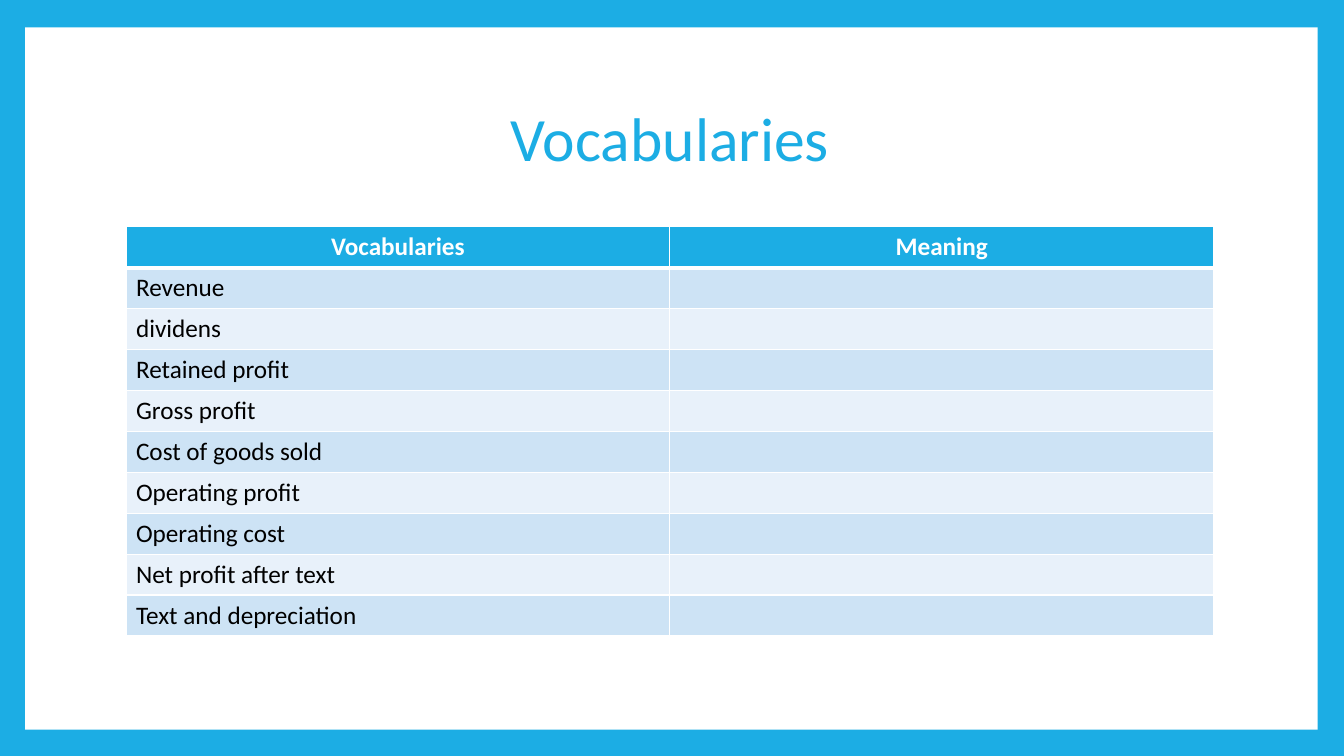
from lxml.etree import SubElement
from pptx import Presentation
from pptx.dml.color import RGBColor
from pptx.enum.shapes import MSO_SHAPE as Shape
from pptx.enum.text import MSO_ANCHOR as Anchor, MSO_AUTO_SIZE as Auto, PP_ALIGN as Align
from pptx.oxml.ns import qn
from pptx.util import Pt

PX = 9525
BLUE, WHITE, BLACK = "1CADE4", "FFFFFF", "000000"
BANDS = "CDE3F5", "E8F1FA"
HEADS = "Vocabularies", "Meaning"
TERMS = ("Revenue", "dividens", "Retained profit", "Gross profit",
         "Cost of goods sold", "Operating profit", "Operating cost",
         "Net profit after text", "Text and depreciation")


def px(*vals):
    return [val * PX for val in vals]


def paint(fill, tint):
    fill.solid()
    fill.fore_color.rgb = RGBColor.from_string(tint)


def style(par, size, tint, bold=False, align=Align.LEFT):
    par.alignment = align
    for run in par.runs:
        font = run.font
        font.name, font.size, font.bold = "Calibri", Pt(size), bold
        font.color.rgb = RGBColor.from_string(tint)


def edge(cell, side, width):
    """Draw one white cell border, width in points."""
    line = SubElement(cell._tc.get_or_add_tcPr(), qn(f"a:ln{side}"), w=str(Pt(width)))
    fill = SubElement(line, qn("a:solidFill"))
    SubElement(fill, qn("a:srgbClr"), val=WHITE)


def add_panel(slide, box):
    """Place the white panel behind everything else."""
    panel = slide.shapes.add_shape(Shape.RECTANGLE, *px(*box))
    panel.shadow.inherit = False
    paint(panel.fill, WHITE)
    panel.line.fill.background()
    slide.shapes._spTree.insert(2, panel._element)


def set_title(slide, box, text):
    title = slide.shapes.title
    title.left, title.top, title.width, title.height = px(*box)
    frame = title.text_frame
    frame.text = text
    frame.word_wrap = True
    frame.auto_size = Auto.NONE
    frame.vertical_anchor = Anchor.MIDDLE
    par = frame.paragraphs[0]
    par.line_spacing = 0.9
    style(par, 44, BLUE, align=Align.CENTER)


def add_terms(slide, box):
    rows = [HEADS] + [(term, "") for term in TERMS]
    table = slide.shapes.add_table(len(rows), len(HEADS), *px(*box)).table
    for r, row in enumerate(rows):
        head = r == 0
        for c, text in enumerate(row):
            cell = table.cell(r, c)
            cell.text = text
            par = cell.text_frame.paragraphs[0]
            if head:
                style(par, 18, WHITE, True, Align.CENTER)
            else:
                style(par, 18, BLACK)
            for side, width in zip("LRTB", (1, 1, 3 if r == 1 else 1, 3 if head else 1)):
                edge(cell, side, width)
            paint(cell.fill, BLUE if head else BANDS[(r - 1) % 2])


def main():
    deck = Presentation()
    deck.slide_width, deck.slide_height = px(1280, 720)
    slide = deck.slides.add_slide(deck.slide_layouts[5])
    paint(slide.background.fill, BLUE)
    add_panel(slide, (24, 26, 1231, 669))
    set_title(slide, (120, 64, 1036, 142), "Vocabularies")
    add_terms(slide, (120, 216, 1036, 390))
    deck.save("out.pptx")


if __name__ == "__main__":
    main()
